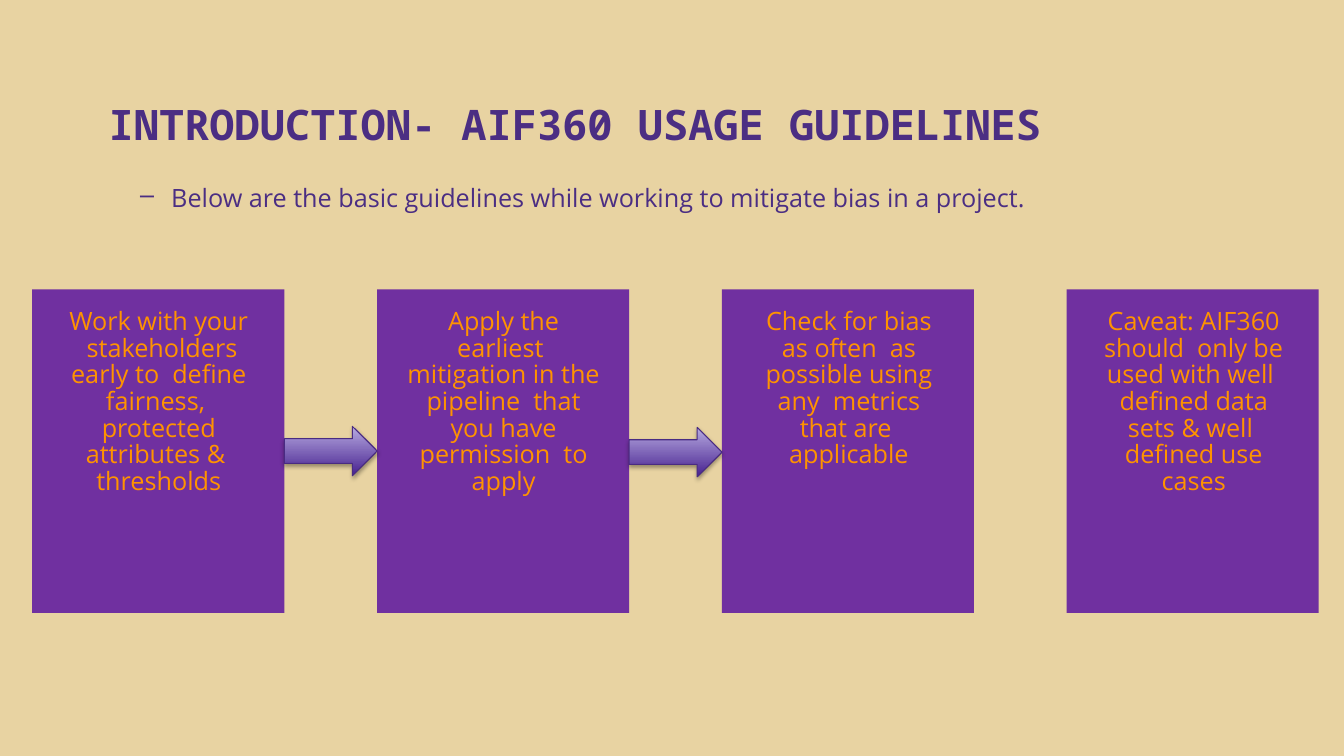
"""Build the AIF360 usage guidelines slide."""
from lxml import etree
from pptx import Presentation
from pptx.dml.color import RGBColor
from pptx.enum.shapes import MSO_SHAPE as Shape
from pptx.enum.text import MSO_ANCHOR as Anchor, PP_ALIGN as Align
from pptx.oxml import parse_xml
from pptx.oxml.ns import nsdecls, qn
from pptx.util import Pt

PX = 9144
SAND = RGBColor(0xE8, 0xD3, 0xA2)
INDIGO = RGBColor(0x4B, 0x2E, 0x83)
PURPLE = RGBColor(0x70, 0x30, 0xA0)
ORANGE = RGBColor(0xFF, 0x93, 0x00)
DEEP = RGBColor(0x47, 0x21, 0x90)
LILAC = RGBColor(0xB7, 0xAB, 0xE0)
EDGE = RGBColor(0x49, 0x2B, 0x82)
SHADOW = (
    f'<a:outerShdw {nsdecls("a")} blurRad="40000" dist="23000" dir="5400000" rotWithShape="0">'
    '<a:srgbClr val="000000"><a:alpha val="35000"/></a:srgbClr></a:outerShdw>'
)


def scale(*sizes):
    return [size * PX for size in sizes]


def write(text, at, font="Open Sans", size=18, color=INDIGO, bold=False,
          align=Align.LEFT, anchor=Anchor.TOP, inset=(10, 5, 10, 5), lead=1.0, before=0):
    box = slide.shapes.add_textbox(*scale(*at))
    frame = box.text_frame
    frame.word_wrap = True
    frame.vertical_anchor = anchor
    (frame.margin_left, frame.margin_top,
     frame.margin_right, frame.margin_bottom) = scale(*inset)
    para = frame.paragraphs[0]
    para.alignment = align
    para.line_spacing = lead
    para.space_before = Pt(before)
    run = para.add_run()
    run.text = text
    run.font.name = font
    run.font.size = Pt(size)
    run.font.bold = bold
    run.font.color.rgb = color
    return para


deck = Presentation()
deck.slide_width, deck.slide_height = scale(1333, 750)
slide = deck.slides.add_slide(deck.slide_layouts[6])
slide.background.fill.solid()
slide.background.fill.fore_color.rgb = SAND

write("INTRODUCTION- AIF360 USAGE GUIDELINES", (98, 41, 1176, 108), font="Noto Sans Mono",
      size=30, bold=True, anchor=Anchor.BOTTOM, inset=(10, 5, 10, 1))

intro = write("Below are the basic guidelines while working to mitigate bias in a project.",
              (79, 178, 1229, 52), lead=0.95)
props = intro._p.get_or_add_pPr()
props.set("marL", str(81 * PX))
props.set("indent", str(-31 * PX))
etree.SubElement(props, qn("a:buChar")).set("char", "–")

LEFT, TOP, WIDE, HIGH, STEP = 32, 287, 250, 321, 342
steps = [
    ("Work with your  stakeholders early to  define fairness,  protected attributes &  thresholds",
     67, 180, 213),
    ("Apply the earliest  mitigation in the pipeline  that you have permission  to apply",
     398, 202, 213),
    ("Check for bias as often  as possible using any  metrics that are  applicable",
     751, 181, 183),
    ("Caveat: AIF360 should  only be used with well  defined data sets & well  defined use cases",
     1087, 193, 213),
]
for i, (text, left, wide, high) in enumerate(steps):
    card = slide.shapes.add_shape(Shape.RECTANGLE, *scale(LEFT + i * STEP, TOP, WIDE, HIGH))
    card.shadow.inherit = False
    card.fill.solid()
    card.fill.fore_color.rgb = PURPLE
    card.line.fill.background()
    write(text, (left, 306, wide, high), color=ORANGE, align=Align.CENTER,
          inset=(1, 1, 0, 0), lead=0.88, before=1)

for i in range(2):
    arrow = slide.shapes.add_shape(
        Shape.RIGHT_ARROW, *scale(LEFT + WIDE + i * STEP, 423 + i, STEP - WIDE, 49))
    arrow.fill.gradient()
    arrow.fill.gradient_angle = 90
    for stop, color, spot in zip(arrow.fill.gradient_stops, (DEEP, LILAC), (0, 1)):
        stop.color.rgb = color
        stop.position = spot
    arrow.line.color.rgb = EDGE
    arrow.line.width = Pt(0.75)
    arrow.shadow.inherit = False
    arrow._element.spPr.find(qn("a:effectLst")).append(parse_xml(SHADOW))

deck.save("out.pptx")
